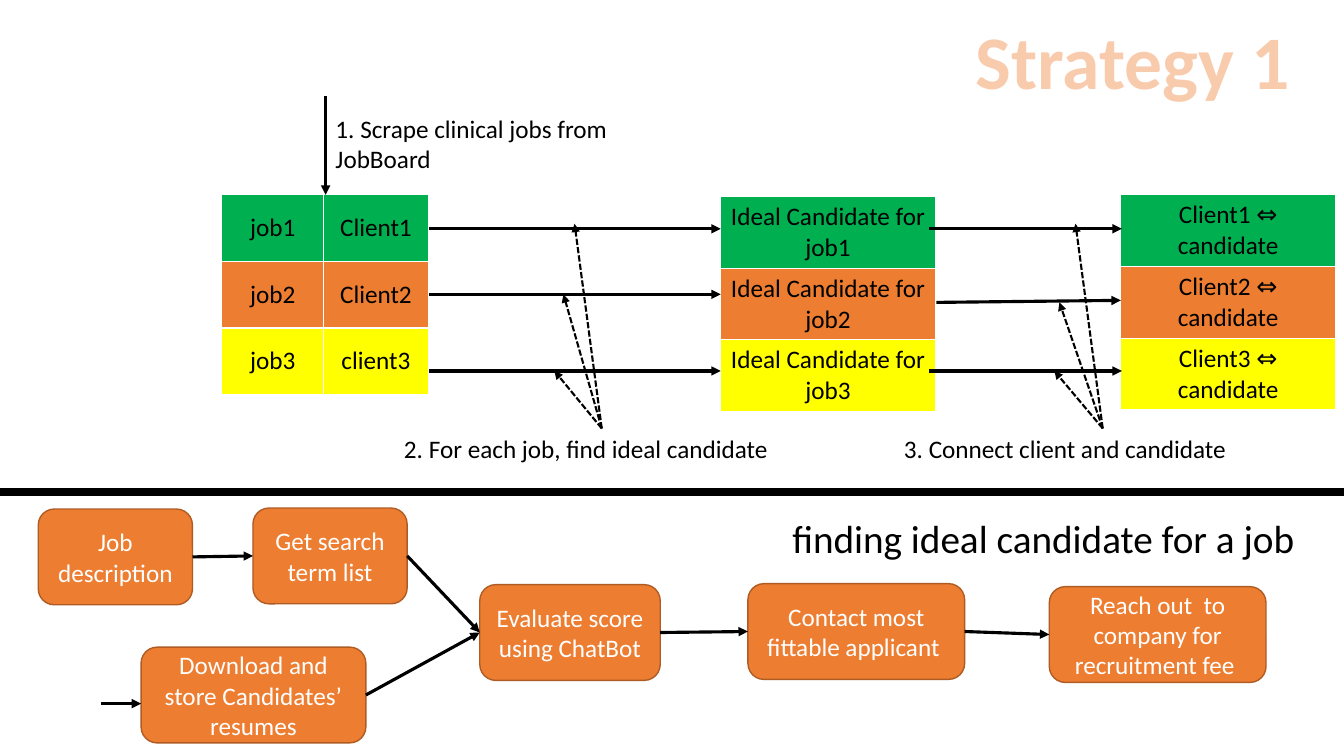
import pptx
import pptx.dml.color
import pptx.enum.dml
import pptx.enum.shapes
import pptx.enum.text
import pptx.oxml
import pptx.util

COLUMNS, ROWS = 40, 22.5
UNIT = pptx.util.Inches(1) / 3
CENTER = pptx.enum.text.PP_ALIGN.CENTER
MIDDLE = pptx.enum.text.MSO_ANCHOR.MIDDLE
BLACK, WHITE, PEACH = "000000", "FFFFFF", "F8CBAD"
GREEN, ORANGE, YELLOW, RUST = "00B050", "ED7D31", "FFFF00", "AF5C24"
LEFT_SITE, RIGHT_SITE = 1, 3
BOX_HEIGHT = 2.85
NOTE_TOP = 12.75


def grid(*values):
    """Turn grid units into slide lengths."""
    return [pptx.util.Emu(round(v * UNIT)) for v in values]


def rgb(value):
    return pptx.dml.color.RGBColor.from_string(value)


def write(tf, text, color=BLACK, align=None, **font):
    p = tf.paragraphs[0]
    p.alignment = align
    r = p.add_run()
    r.text = text
    r.font.color.rgb = rgb(color)
    values = {"name": "Calibri", "size": 18, "bold": False} | font
    values["size"] = pptx.util.Pt(values["size"])
    for name, value in values.items():
        setattr(r.font, name, value)


def add_text(s, text, place, wrap=True, **style):
    tf = s.shapes.add_textbox(*grid(*place)).text_frame
    tf.word_wrap = wrap
    write(tf, text, **style)


def add_line(s, start, end, width=2.25, dashed=False, arrow=True):
    line = s.shapes.add_connector(
        pptx.enum.shapes.MSO_CONNECTOR.STRAIGHT, *grid(*start, *end))
    line.line.color.rgb = rgb(BLACK)
    line.line.width = pptx.util.Pt(width)
    if dashed:
        line.line.dash_style = pptx.enum.dml.MSO_LINE.SQUARE_DOT
    sp_pr = line._element.spPr
    if arrow:
        tail = pptx.oxml.parse_xml(
            '<a:tailEnd xmlns:a="http://schemas.openxmlformats.org/drawingml/2006/main"'
            ' type="triangle"/>')
        line.line._get_or_add_ln().append(tail)
    sp_pr.append(pptx.oxml.parse_xml(
        '<a:effectLst xmlns:a="http://schemas.openxmlformats.org/drawingml/2006/main"/>'))
    return line


def add_table(s, left, top, widths, row_height, rows):
    """Add a table whose rows are green, orange and yellow."""
    place = grid(left, top, sum(widths), row_height * len(rows))
    table = s.shapes.add_table(len(rows), len(widths), *place).table
    for column, width in zip(table.columns, grid(*widths)):
        column.width = width
    for row, texts, color in zip(table.rows, rows, (GREEN, ORANGE, YELLOW)):
        row.height = grid(row_height)[0]
        for cell, text in zip(row.cells, texts):
            cell.fill.solid()
            cell.fill.fore_color.rgb = rgb(color)
            cell.vertical_anchor = MIDDLE
            write(cell.text_frame, text, align=CENTER)


def add_note(s, text, left, source, targets):
    """Add a caption with dashed arrows to the lines it explains."""
    add_text(s, text, (left, NOTE_TOP, 12.39, 1.2))
    for target in targets:
        add_line(s, (source, NOTE_TOP), target, width=1.5, dashed=True)


def add_step(s, text, left, top, width):
    sp = s.shapes.add_shape(pptx.enum.shapes.MSO_SHAPE.ROUNDED_RECTANGLE,
                            *grid(left, top, width, BOX_HEIGHT))
    sp.shadow.inherit = False
    sp.fill.solid()
    sp.fill.fore_color.rgb = rgb(ORANGE)
    sp.line.color.rgb = rgb(RUST)
    sp.line.width = pptx.util.Pt(1)
    tf = sp.text_frame
    tf.word_wrap = True
    tf.vertical_anchor = MIDDLE
    write(tf, text, WHITE, CENTER)
    return sp


def link_steps(s, first, second):
    line = add_line(s, (0, 0), (1, 1))
    line.begin_connect(first, RIGHT_SITE)
    line.end_connect(second, LEFT_SITE)


def add_strategy(s):
    add_table(s, 6.6, 5.8, (3.03, 3.12), 1.98,
              [("job1", "Client1"), ("job2", "Client2"), ("job3", "client3")])
    add_table(s, 21.45, 5.85, (6.39,), 2.1,
              [(f"Ideal Candidate for job{n}",) for n in (1, 2, 3)])
    add_table(s, 33.36, 5.8, (6.39,), 2.1,
              [(f"Client{n} ⇔ candidate",) for n in (1, 2, 3)])

    add_line(s, (9.69, 2.85), (9.69, 5.8))
    add_text(s, "1. Scrape clinical jobs from JobBoard", (9.69, 3.21, 10, 2.13))
    for y in (6.81, 8.76, 11.04):
        add_line(s, (12.78, y), (21.45, y))
    for start, end in (((27.66, 6.81), (33.39, 6.81)),
                       ((27.87, 9), (33.36, 8.94)),
                       ((27.66, 11.04), (33.39, 11.04))):
        add_line(s, start, end)
    add_note(s, "2. For each job, find ideal candidate", 11.73, 17.91,
             [(16.5, 11.04), (16.77, 8.76), (17.1, 6.66)])
    add_note(s, "3. Connect client and candidate", 26.61, 32.82,
             [(31.38, 11.04), (31.53, 9), (32.01, 6.66)])
    add_text(s, "Strategy 1", (28.68, 0.27, 10.05, 3.03), wrap=False,
             color=PEACH, align=CENTER, size=54, bold=True)


def add_process(s):
    job = add_step(s, "Job description", 1.14, 15.15, 4.59)
    terms = add_step(s, "Get search term list", 7.53, 15.12, 4.59)
    resumes = add_step(s, "Download and store Candidates’ resumes", 4.2, 19.26, 6.69)
    score = add_step(s, "Evaluate score using ChatBot", 14.28, 17.4, 5.37)
    contact = add_step(s, "Contact most fittable applicant ", 22.26, 17.37, 6.45)
    fee = add_step(s, "Reach out  to company for recruitment fee ", 31.23, 17.46, 6.45)
    for first, second in ((job, terms), (resumes, score), (terms, score),
                          (score, contact), (contact, fee)):
        link_steps(s, first, second)
    add_line(s, (3, 20.94), (4.2, 20.94))
    add_text(s, "finding ideal candidate for a job", (23.19, 15.15, 15.72, 1.71),
             wrap=False, align=CENTER, size=28)


def main():
    prs = pptx.Presentation()
    prs.slide_width, prs.slide_height = grid(COLUMNS, ROWS)
    s = prs.slides.add_slide(prs.slide_layouts[6])
    add_strategy(s)
    add_line(s, (0, 14.64), (COLUMNS, 14.64), width=6, arrow=False)
    add_process(s)
    prs.save("out.pptx")


if __name__ == "__main__":
    main()
